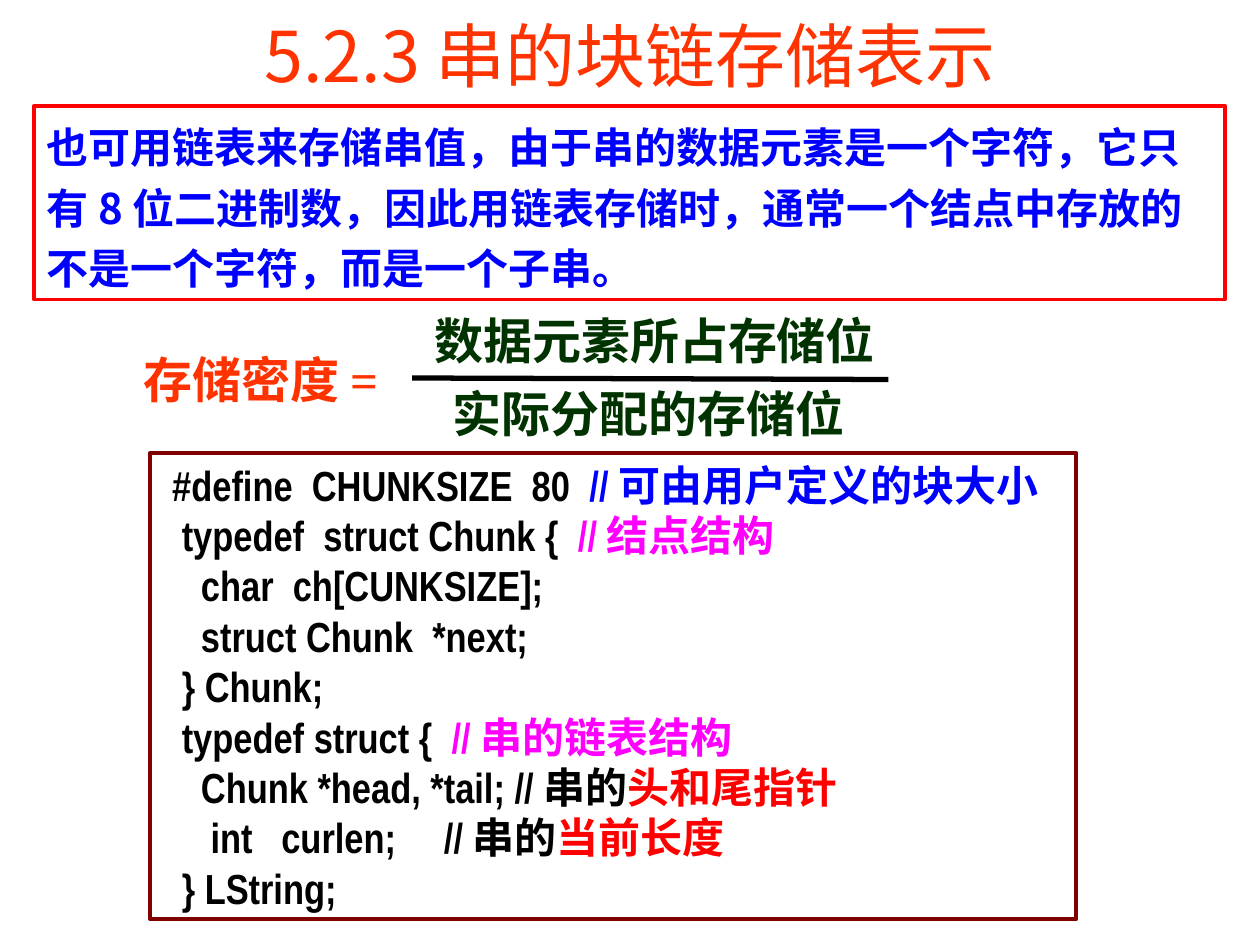
from dataclasses import dataclass
from typing import NamedTuple

from pptx import Presentation
from pptx.dml.color import RGBColor
from pptx.enum.shapes import MSO_CONNECTOR, MSO_SHAPE
from pptx.enum.text import MSO_ANCHOR, MSO_AUTO_SIZE, PP_ALIGN
from pptx.oxml.ns import qn
from pptx.util import Cm, Pt
from lxml.etree import SubElement


@dataclass(frozen=True)
class Theme:
    orange: str = "FF3300"
    blue: str = "0000FF"
    red: str = "FF0000"
    green: str = "003300"
    maroon: str = "800000"
    pink: str = "FF00FF"
    black: str = "000000"
    head: int = 40
    term: int = 28
    body: int = 24
    sans: str = "Noto Sans CJK SC"
    title: str = "Noto Sans CJK JP"
    serif: str = "Times New Roman"
    code: str = "Arial Narrow"


class Box(NamedTuple):
    left: float
    top: float
    width: float
    height: float


class Term(NamedTuple):
    text: str
    box: Box
    color: str


T = Theme()

INTRO = ("也可用链表来存储串值，由于串的数据元素是一个字符，它只有 8 位二进制数，"
         "因此用链表存储时，通常一个结点中存放的不是一个字符，而是一个子串。")

TERMS = [
    Term("存储密度 =", Box(2.64, 6.93, 5.99, 1.45), T.orange),
    Term("数据元素所占存储位", Box(8.51, 6.14, 9.37, 1.45), T.green),
    Term("实际分配的存储位", Box(8.88, 7.61, 8.38, 1.45), T.green),
]

# Each line is a list of (text, colour) parts.
CODE = [
    [(" #define  CHUNKSIZE  80  ", T.black), ("// 可由用户定义的块大小", T.blue)],
    [("  typedef  struct Chunk {  ", T.black), ("// 结点结构", T.pink)],
    [("    char  ch[CUNKSIZE];", T.black)],
    [("    struct Chunk  *next;", T.black)],
    [("  } Chunk;", T.black)],
    [("  typedef struct {  ", T.black), ("// 串的链表结构", T.pink)],
    [("    Chunk *head, *tail; // 串的", T.black), ("头和尾指针", T.red)],
    [("     int   curlen;     // 串的", T.black), ("当前长度", T.red)],
    [("  } LString;", T.black)],
]


def write(shape, lines: list, *, size: int, font: str, asian: str = T.sans,
          bold: bool = True, wrap: bool = True, spacing: float = 1.0,
          align=PP_ALIGN.LEFT) -> None:
    """Fill a shape with lines made of (text, colour) parts."""
    frame = shape.text_frame
    frame.word_wrap = wrap
    frame.auto_size = MSO_AUTO_SIZE.NONE
    frame.vertical_anchor = MSO_ANCHOR.TOP
    for i, parts in enumerate(lines):
        para = frame.add_paragraph() if i else frame.paragraphs[0]
        para.alignment = align
        para.line_spacing = spacing
        for text, color in parts:
            run = para.add_run()
            run.text = text
            run.font.size = Pt(size)
            run.font.bold = bold
            run.font.color.rgb = RGBColor.from_string(color)
            run.font.name = font
            east = SubElement(run.font._element, qn("a:ea"))
            east.set("typeface", asian)


def place(shape, box: Box) -> None:
    shape.left, shape.top, shape.width, shape.height = map(Cm, box)


def panel(slide, box: Box, color: str):
    """Add an unfilled rectangle with a coloured outline."""
    shape = slide.shapes.add_shape(MSO_SHAPE.RECTANGLE, *map(Cm, box))
    shape.shadow.inherit = False
    shape.fill.background()
    shape.line.color.rgb = RGBColor.from_string(color)
    shape.line.width = Pt(2.25)
    return shape


def rule(slide, start: tuple[float, float], end: tuple[float, float]) -> None:
    line = slide.shapes.add_connector(
        MSO_CONNECTOR.STRAIGHT, *map(Cm, start + end))
    line.line.color.rgb = RGBColor.from_string(T.black)
    line.line.width = Pt(3)
    SubElement(line._element.spPr, qn("a:effectLst"))


def main() -> None:
    deck = Presentation()
    deck.slide_width, deck.slide_height = Cm(25.4), Cm(19.05)
    slide = deck.slides.add_slide(deck.slide_layouts[5])

    title = slide.shapes.title
    place(title, Box(4.5, 0.13, 16.4, 1.96))
    write(title, [[("5.2.3 串的块链存储表示", T.orange)]], size=T.head,
          font=T.title, asian=T.title, bold=False,
          align=PP_ALIGN.CENTER)

    intro = panel(slide, Box(0.69, 2.13, 24, 3.91), T.red)
    write(intro, [[(INTRO, T.blue)]], size=T.body, font=T.sans, spacing=1.2)

    for term in TERMS:
        label = slide.shapes.add_textbox(*map(Cm, term.box))
        write(label, [[(term.text, term.color)]], size=T.term,
              font=T.serif, wrap=False)
    rule(slide, (8.31, 7.62), (17.91, 7.65))

    code = panel(slide, Box(3.03, 9.13, 18.67, 9.4), T.maroon)
    write(code, CODE, size=T.body, font=T.code)

    deck.save("out.pptx")


if __name__ == "__main__":
    main()
